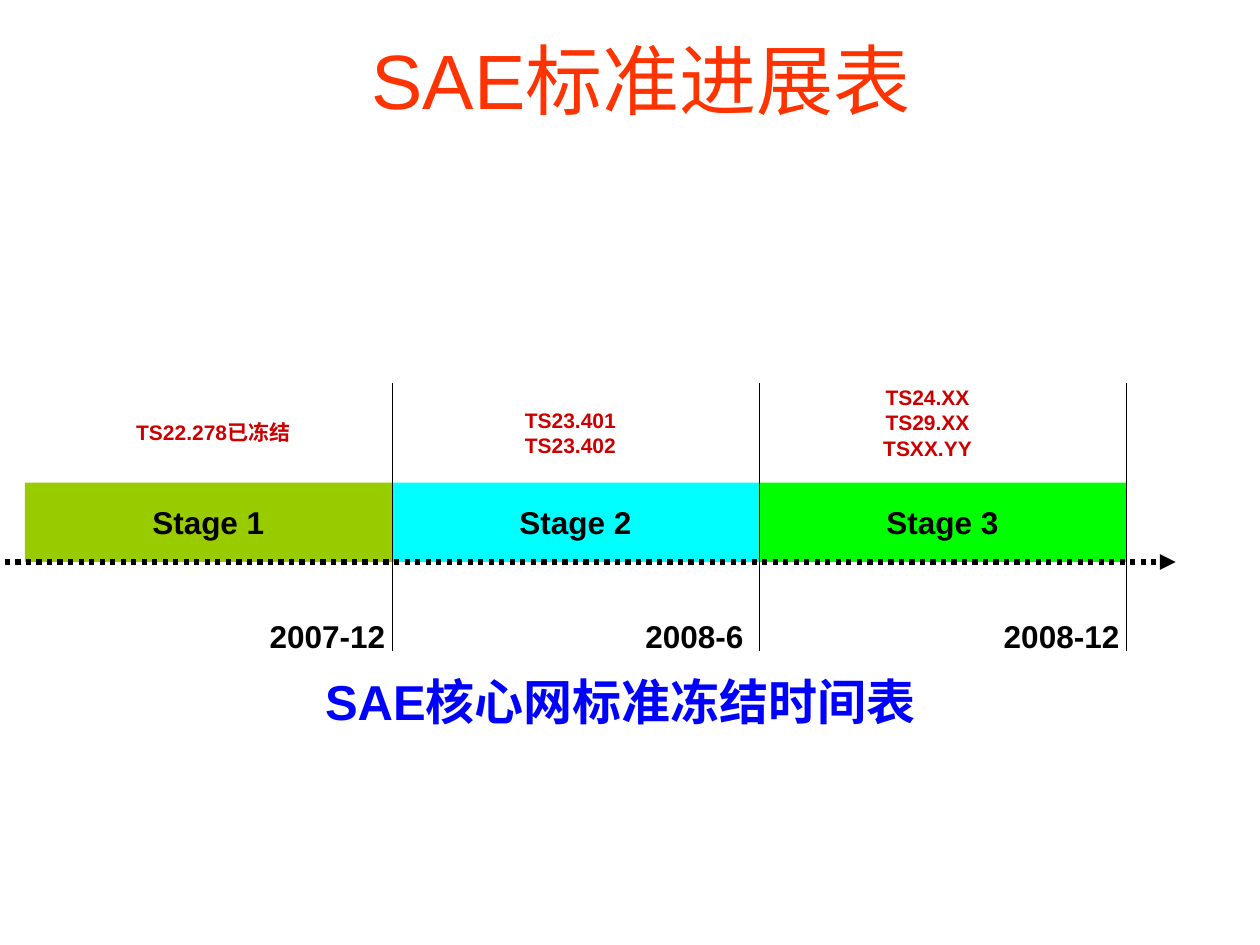
from dataclasses import dataclass

from lxml import etree
from pptx import Presentation, util as u
from pptx.dml.color import RGBColor
from pptx.enum import dml, shapes, text
from pptx.oxml.ns import qn


@dataclass(frozen=True)
class Theme:
    font: str = "Arial"
    title: str = "FF3300"
    caption: str = "0000FF"
    spec_text: str = "CC0000"
    ink: str = "000000"
    stages: tuple = ("99CC00", "00FFFF", "00FF00")
    title_size: int = 44
    caption_size: int = 28
    label_size: int = 18
    spec_size: int = 12


THEME = Theme()
STAGES = [
    ("Stage 1", "2007-12", ["TS22.278已冻结"]),
    ("Stage 2", "2008-6", ["TS23.401", "TS23.402"]),
    ("Stage 3", "2008-12", ["TS24.XX", "TS29.XX", "TSXX.YY"]),
]


def write_text(sp, lines, size, color=THEME.ink, bold=True, wrap=False):
    tf = sp.text_frame
    tf.word_wrap = wrap
    tf.vertical_anchor = text.MSO_ANCHOR.MIDDLE
    for i, line in enumerate(lines):
        p = tf.paragraphs[0] if i == 0 else tf.add_paragraph()
        p.alignment = text.PP_ALIGN.CENTER
        r = p.add_run()
        r.text = line
        r.font.name = THEME.font
        r.font.size = u.Pt(size)
        r.font.bold = bold
        r.font.color.rgb = RGBColor.from_string(color)


def add_text(s, left, top, width, height, lines, **fmt):
    box = s.shapes.add_textbox(u.Cm(left), u.Cm(top), u.Cm(width), u.Cm(height))
    write_text(box, lines, **fmt)


def add_line(s, x1, y1, x2, y2, weight):
    line = s.shapes.add_connector(
        shapes.MSO_CONNECTOR.STRAIGHT, u.Cm(x1), u.Cm(y1), u.Cm(x2), u.Cm(y2))
    line.line.width = u.Pt(weight)
    line.line.color.rgb = RGBColor.from_string(THEME.ink)
    etree.SubElement(line.element.spPr, qn("a:effectLst"))
    return line


def add_stage_bar(s, left, top, width, height, name, color):
    sp = s.shapes.add_shape(
        shapes.MSO_SHAPE.RECTANGLE, u.Cm(left), u.Cm(top), u.Cm(width), u.Cm(height))
    sp.shadow.inherit = False
    sp.fill.solid()
    sp.fill.fore_color.rgb = RGBColor.from_string(color)
    sp.line.fill.background()
    write_text(sp, [name], size=THEME.label_size)


def add_time_axis(s, left, y, right):
    axis = add_line(s, left, y, right, y, 3)
    axis.line.dash_style = dml.MSO_LINE.ROUND_DOT
    ln = axis.line._get_or_add_ln()
    etree.SubElement(ln, qn("a:tailEnd"), type="triangle")


def add_timeline(s, left, top, width, height):
    pitch = width / len(STAGES)
    bar_top, bar_height = top + 2.01, 1.6
    lefts = [left + i * pitch for i in range(len(STAGES))]
    for x, (name, _, _), color in zip(lefts, STAGES, THEME.stages):
        add_stage_bar(s, x, bar_top, pitch, bar_height, name, color)
    for x in lefts:
        add_line(s, x + pitch, top, x + pitch, top + height, 0.25)
    add_time_axis(s, left - 0.4, bar_top + bar_height, left + width + 1)
    for i, (x, (_, date, specs)) in enumerate(zip(lefts, STAGES)):
        add_text(s, x + 4.4, top + 4.6, 3.4, 1, [date], size=THEME.label_size)
        spec_top = top + (0.4 if len(specs) > 2 else 0.6)
        add_text(s, x + 1.4 - 0.2 * i, spec_top, 4.8, 0.8, specs,
                 size=THEME.spec_size, color=THEME.spec_text)


def main():
    prs = Presentation()
    prs.slide_width, prs.slide_height = u.Cm(25.4), u.Cm(19.05)
    s = prs.slides.add_slide(prs.slide_layouts[6])
    add_text(s, 1.5, 0, 22.86, 3.18, ["SAE标准进展表"], size=THEME.title_size,
             color=THEME.title, bold=False, wrap=True)
    add_timeline(s, 0.5, 7.72, 22.2, 5.41)
    add_text(s, 5.9, 13.33, 13.2, 1.6, ["SAE核心网标准冻结时间表"],
             size=THEME.caption_size, color=THEME.caption)
    prs.save("out.pptx")


if __name__ == "__main__":
    main()
